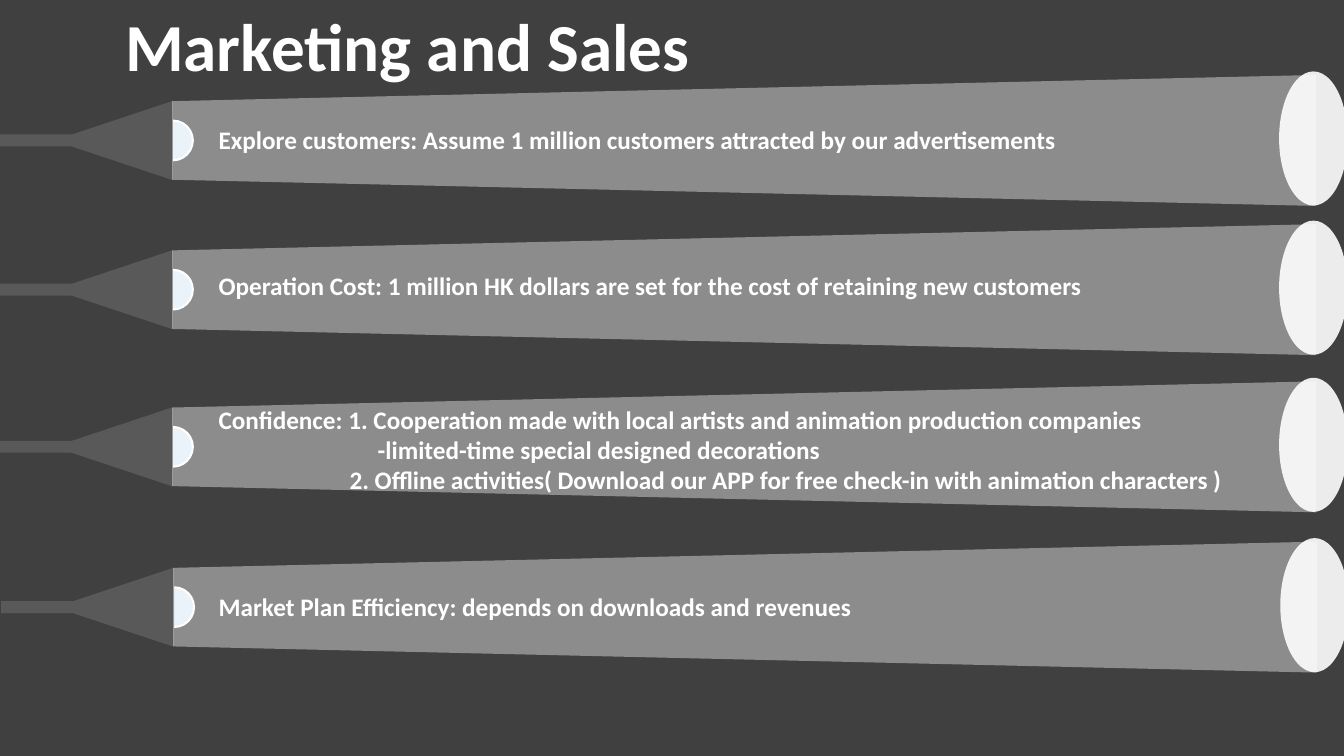
import pptx
import pptx.util
import pptx.dml.color
import pptx.enum.shapes
import pptx.enum.text
from dataclasses import dataclass
from lxml import etree
from pptx.util import Cm

TITLE = "Marketing and Sales"
ROWS = [
    {"center": 3.54, "shift": 0, "text_center": 3.53, "lines": [
        ("Explore customers: Assume 1 million customers attracted by our advertisements", 0)]},
    {"center": 7.3, "shift": 0, "text_center": 7.19, "lines": [
        ("Operation Cost: 1 million HK dollars are set for the cost of retaining new customers", 0)]},
    {"center": 11.26, "shift": 0, "text_center": 11.34, "lines": [
        ("Confidence: 1. Cooperation made with local artists and animation production companies", 0),
        ("-limited-time special designed decorations", 4.01),
        ("2. Offline activities( Download our APP for free check-in with animation characters )", 3.3)]},
    {"center": 15.3, "shift": 0.03, "text_center": 15.29, "lines": [
        ("Market Plan Efficiency: depends on downloads and revenues", 0)]},
]


@dataclass
class Theme:
    font: str = "Calibri"
    title_size: int = 48
    body_size: int = 18
    background: str = "404040"
    lamp: str = "595959"
    bulb: str = "DEEBF7"
    white: str = "FFFFFF"


theme = Theme()
SHAPES = pptx.enum.shapes.MSO_SHAPE


def color(value):
    return pptx.dml.color.RGBColor.from_string(value)


def add_part(shapes, kind, center_x, center_y, width, height, fill,
             rotation=0, opacity=100, outline=None):
    shape = shapes.add_shape(kind, Cm(center_x - width / 2), Cm(center_y - height / 2),
                             Cm(width), Cm(height))
    shape.shadow.inherit = False
    shape.rotation = rotation
    shape.fill.solid()
    shape.fill.fore_color.rgb = color(fill)
    if opacity < 100:
        fill_color = shape.fill._xPr.find(".//" + pptx.oxml.ns.qn("a:srgbClr"))
        alpha = etree.SubElement(fill_color, pptx.oxml.ns.qn("a:alpha"))
        alpha.set("val", str(opacity * 1000))
    if outline:
        shape.line.color.rgb = color(outline)
        shape.line.width = pptx.util.Pt(1.5)
    else:
        shape.line.fill.background()


def write_lines(shape, lines, size):
    frame = shape.text_frame
    frame.word_wrap = True
    frame.auto_size = pptx.enum.text.MSO_AUTO_SIZE.SHAPE_TO_FIT_TEXT
    frame.vertical_anchor = pptx.enum.text.MSO_ANCHOR.TOP
    for index, (text, indent) in enumerate(lines):
        paragraph = frame.add_paragraph() if index else frame.paragraphs[0]
        paragraph.alignment = pptx.enum.text.PP_ALIGN.LEFT
        if indent:
            paragraph._p.get_or_add_pPr().set("marL", str(Cm(indent)))
        run = paragraph.add_run()
        run.text = text
        run.font.name = theme.font
        run.font.size = pptx.util.Pt(size)
        run.font.bold = True
        run.font.color.rgb = color(theme.white)


def add_spotlight(slide, center, shift):
    add_part(slide.shapes, SHAPES.RECTANGLE, 1 + shift, center, 2, 0.3, theme.lamp)
    lamp = slide.shapes.add_group_shape().shapes
    add_part(lamp, SHAPES.OVAL, 4.36 + shift, center, 1, 1, theme.bulb, outline=theme.white)
    add_part(lamp, SHAPES.ISOSCELES_TRIANGLE, 2.86 + shift, center, 2, 3, theme.lamp, rotation=270)
    beam = slide.shapes.add_group_shape().shapes
    add_part(beam, SHAPES.FLOWCHART_MANUAL_OPERATION, 18.75 + shift, center, 3.3, 28.83,
             theme.white, rotation=90, opacity=40)
    add_part(beam, SHAPES.OVAL, 33.1 + shift, center - 0.05, 1.73, 3.38, theme.white, opacity=90)


def add_label(slide, center, lines):
    height = 0.25 + 0.77 * len(lines)
    label = slide.shapes.add_textbox(Cm(5.26), Cm(center - height / 2), Cm(28.19), Cm(height))
    write_lines(label, lines, theme.body_size)


def main():
    presentation = pptx.Presentation()
    presentation.slide_width = Cm(33.87)
    presentation.slide_height = Cm(19.05)
    slide = presentation.slides.add_slide(presentation.slide_layouts[5])
    slide.background.fill.solid()
    slide.background.fill.fore_color.rgb = color(theme.background)
    title = slide.shapes.title
    title.left, title.top, title.width, title.height = Cm(2.9), Cm(-0.03), Cm(16.31), Cm(2.31)
    write_lines(title, [(TITLE, 0)], theme.title_size)
    for row in ROWS:
        add_spotlight(slide, row["center"], row["shift"])
        add_label(slide, row["text_center"], row["lines"])
    presentation.save("out.pptx")


if __name__ == "__main__":
    main()
